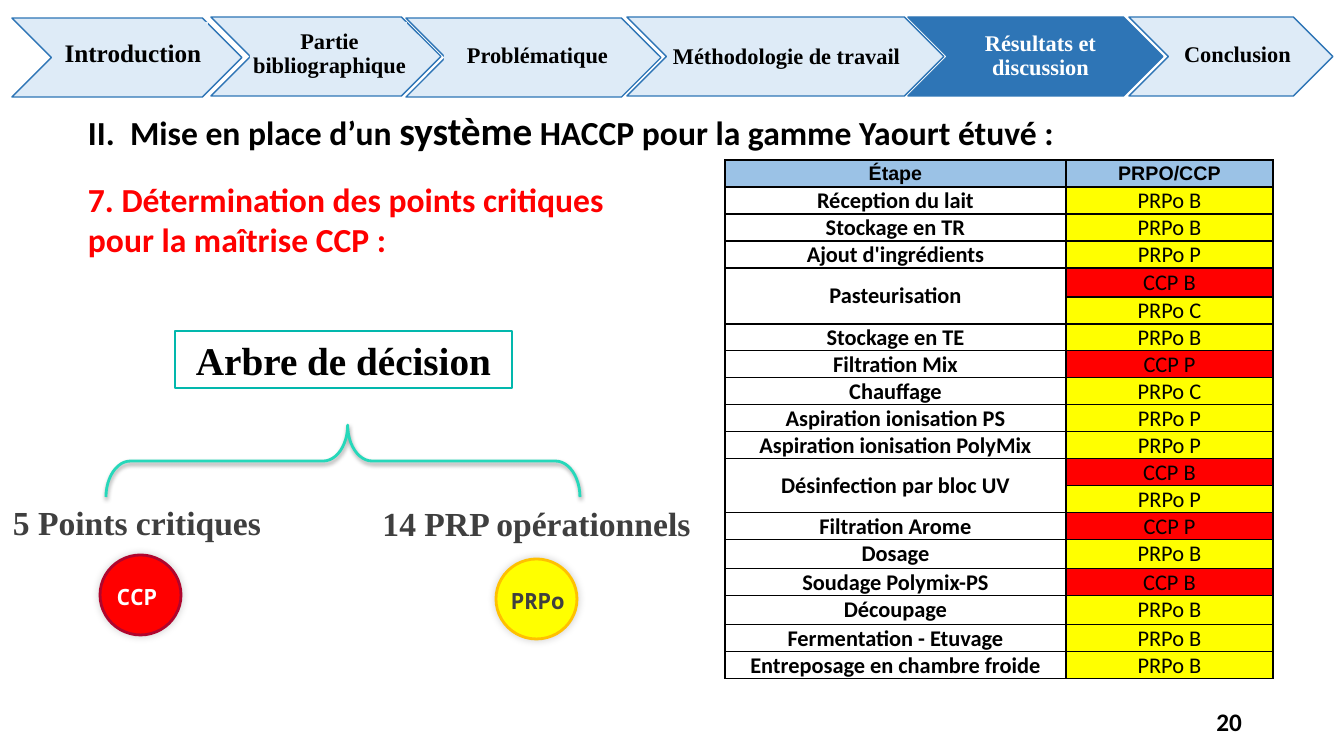
import pptx
import pptx.dml.color
import pptx.enum.shapes
import pptx.enum.text
import pptx.oxml.ns
import pptx.util
from lxml import etree

SHAPE = pptx.enum.shapes.MSO_SHAPE
ALIGN = pptx.enum.text.PP_ALIGN
ANCHOR = pptx.enum.text.MSO_ANCHOR
qn = pptx.oxml.ns.qn

WIDTH, HEIGHT = 1344, 756
EMU_PER_PX = 12192000 / WIDTH
SERIF, SANS, MONO = "Times New Roman", "Calibri", "Noto Sans Mono"
BLACK, WHITE, GREY = "000000", "FFFFFF", "3F3F3F"
RED, YELLOW = "FF0000", "FFFF00"
PALE_BLUE, BLUE, HEADER_BLUE = "DEEBF7", "2E75B6", "9BC2E6"


def px(length):
    return pptx.util.Emu(round(length * EMU_PER_PX))


def rgb(value):
    return pptx.dml.color.RGBColor.from_string(value)


def apply(target, values):
    for name, value in values.items():
        setattr(target, name, value)


class SlideBuilder:
    def __init__(self, slide):
        self.slide = slide
        self.shapes = slide.shapes

    def set_text(self, frame, runs, font=SANS, color=BLACK, bold=True,
                 align=ALIGN.LEFT, anchor=ANCHOR.TOP, wrap=True, spacing=1.0,
                 insets=(10, 5, 10, 5)):
        """Fill a text frame with one paragraph made of (text, size) runs."""
        left, top, right, bottom = map(px, insets)
        apply(frame, {"word_wrap": wrap, "vertical_anchor": anchor,
                      "margin_left": left, "margin_top": top,
                      "margin_right": right, "margin_bottom": bottom})
        paragraph = frame.paragraphs[0]
        apply(paragraph, {"alignment": align, "line_spacing": spacing})
        for text, size in runs:
            run = paragraph.add_run()
            run.text = text
            apply(run.font, {"name": font, "size": pptx.util.Pt(size), "bold": bold})
            run.font.color.rgb = rgb(color)

    def text(self, box, text, size, **style):
        frame = self.shapes.add_textbox(*map(px, box)).text_frame
        self.set_text(frame, [(text, size)], **style)

    def title(self, box, runs, **style):
        heading = self.shapes.title
        apply(heading, dict(zip(("left", "top", "width", "height"), map(px, box))))
        heading.text_frame.auto_size = pptx.enum.text.MSO_AUTO_SIZE.NONE
        self.set_text(heading.text_frame, runs, **style)

    def shape(self, kind, box, fill=None, line=None, weight=1):
        shape = self.shapes.add_shape(kind, *map(px, box))
        shape.shadow.inherit = False
        if fill:
            shape.fill.solid()
            shape.fill.fore_color.rgb = rgb(fill)
        else:
            shape.fill.background()
        if line:
            shape.line.color.rgb = rgb(line)
            shape.line.width = pptx.util.Pt(weight)
        else:
            shape.line.fill.background()
        return shape

    def shadow(self, shape, opacity, blur, distance, angle):
        effects = shape._element.spPr.find(qn("a:effectLst"))
        outer = etree.SubElement(effects, qn("a:outerShdw"), {
            "blurRad": str(pptx.util.Pt(blur)), "dist": str(pptx.util.Pt(distance)),
            "dir": str(angle * 60000), "rotWithShape": "0"})
        black = etree.SubElement(outer, qn("a:srgbClr"), val=BLACK)
        etree.SubElement(black, qn("a:alpha"), val=str(opacity * 1000))

    def cell(self, cell, text, size, fill=None, **style):
        """Fill a centred cell with thin black borders."""
        properties = cell._tc.get_or_add_tcPr()
        for side in ("a:lnL", "a:lnR", "a:lnT", "a:lnB"):
            border = etree.SubElement(properties, qn(side), w=str(pptx.util.Pt(1)))
            solid = etree.SubElement(border, qn("a:solidFill"))
            etree.SubElement(solid, qn("a:srgbClr"), val=BLACK)
        if fill:
            cell.fill.solid()
            cell.fill.fore_color.rgb = rgb(fill)
        else:
            cell.fill.background()
        apply(cell, {"vertical_anchor": ANCHOR.MIDDLE, "margin_left": 0, "margin_top": 0,
                     "margin_right": 0, "margin_bottom": 0})
        paragraph = cell.text_frame.paragraphs[0]
        paragraph.alignment = ALIGN.CENTER
        paragraph.font.size = pptx.util.Pt(size)
        if text:
            run = paragraph.add_run()
            run.text = text
            apply(run.font, {"size": pptx.util.Pt(size), **style})
            run.font.color.rgb = rgb(BLACK)

    def table(self, box, columns, row_heights, header, rows):
        """Draw the steps; an empty step joins the cell above it."""
        table = self.shapes.add_table(len(rows) + 1, len(columns), *map(px, box)).table
        apply(table, {"first_row": False, "horz_banding": False})
        for column, width in zip(table.columns, columns):
            column.width = px(width)
        for row, height in zip(table.rows, row_heights):
            row.height = px(height)
        for index, label in enumerate(header):
            self.cell(table.cell(0, index), label, 14, HEADER_BLUE, name="Arial", bold=True)
        for index, (step, category) in enumerate(rows, 1):
            fill = RED if category.startswith("CCP") else YELLOW
            self.cell(table.cell(index, 0), step, 16, name=SANS, bold=True)
            self.cell(table.cell(index, 1), category, 16, fill, name=SANS, bold=False)
            if not step:
                table.cell(index - 1, 0).merge(table.cell(index, 0))


# Label, chevron box, label box, font size, alignment
CHAPTERS = [
    ("Partie bibliographique", (211, 17, 230, 79), (250, 22, 157, 65), 16, ALIGN.CENTER),
    ("Problématique", (406, 18, 255, 79), (444, 26, 185, 60), 16, ALIGN.CENTER),
    ("Méthodologie de travail", (627, 17, 317, 79), (671, 31, 233, 53), 16, ALIGN.LEFT),
    ("Résultats et discussion", (908, 17, 255, 79), (947, 26, 185, 60), 16, ALIGN.CENTER),
    ("Conclusion", (1129, 17, 204, 79), (1171, 27, 131, 56), 16, ALIGN.CENTER),
    ("Introduction", (12, 18, 230, 79), (56, 22, 152, 65), 18, ALIGN.CENTER),
]
CURRENT_CHAPTER = "Résultats et discussion"

STEPS = [
    ("Réception du lait", "PRPo B"),
    ("Stockage en TR", "PRPo B"),
    ("Ajout d'ingrédients", "PRPo P"),
    ("Pasteurisation", "CCP B"),
    ("", "PRPo C"),
    ("Stockage en TE", "PRPo B"),
    ("Filtration Mix", "CCP P"),
    ("Chauffage", "PRPo C"),
    ("Aspiration ionisation PS", "PRPo P"),
    ("Aspiration ionisation PolyMix", "PRPo P"),
    ("Désinfection par bloc UV", "CCP B"),
    ("", "PRPo P"),
    ("Filtration Arome", "CCP P"),
    ("Dosage", "PRPo B"),
    ("Soudage Polymix-PS", "CCP B"),
    ("Découpage", "PRPo B"),
    ("Fermentation - Etuvage", "PRPo B"),
    ("Entreposage en chambre froide", "PRPo B"),
]
TALL_ROWS = (4, 14, 16)

# Caption, its box, badge, badge box, badge text box, fill, outline, text colour, shadow angle
OUTCOMES = [
    ("5 Points critiques", (-3, 497, 280, 50), "CCP", (100, 555, 81, 80),
     (107, 578, 80, 37), RED, "AF052D", WHITE, 225),
    ("14 PRP opérationnels", (293, 498, 487, 50), "PRPo", (496, 559, 81, 80),
     (501, 582, 80, 37), YELLOW, "FFC000", GREY, 315),
]


def main():
    deck = pptx.Presentation()
    apply(deck, {"slide_width": px(WIDTH), "slide_height": px(HEIGHT)})
    page = SlideBuilder(deck.slides.add_slide(deck.slide_layouts[5]))

    for label, chevron_box, label_box, size, align in CHAPTERS:
        current = label == CURRENT_CHAPTER
        fill = BLUE if current else PALE_BLUE
        page.shape(SHAPE.CHEVRON, chevron_box, fill, BLUE)
        plate = page.shape(SHAPE.RECTANGLE, label_box, fill)
        page.set_text(plate.text_frame, [(label, size)], font=SERIF, align=align, spacing=0.9,
                      color=WHITE if current else BLACK, anchor=ANCHOR.MIDDLE,
                      insets=(2, 1, 0, 1))

    page.title((78, 101, 996, 57), [("II.  Mise en place d’un ", 24), ("système", 28),
                                    (" HACCP pour la gamme Yaourt étuvé :", 24)], wrap=False)
    page.text((78, 174, 579, 92),
              "7. Détermination des points critiques pour la maîtrise CCP :", 24, color=RED)
    page.text((950, 701, 302, 40), "20", 18, align=ALIGN.RIGHT, anchor=ANCHOR.MIDDLE)

    row_heights = [29 if row in TALL_ROWS else 27 for row in range(len(STEPS) + 1)]
    page.table((725, 160, 548, sum(row_heights)), (341, 207), row_heights,
               ("Étape", "PRPO/CCP"), STEPS)

    decision = page.shape(SHAPE.RECTANGLE, (175, 331, 337, 57), WHITE, "02B8AD", 2)
    page.set_text(decision.text_frame, [("Arbre de décision", 28)], font=SERIF,
                  align=ALIGN.CENTER)
    brace = page.shape(SHAPE.RIGHT_BRACE, (307, 224, 72, 474), None, "26D8BA", 2)
    brace.rotation = 270
    brace.adjustments[0], brace.adjustments[1] = 0.34, 0.51
    page.shadow(brace, 38, 3.1, 1.6, 90)

    for caption, caption_box, badge, disc_box, badge_box, fill, line, color, angle in OUTCOMES:
        disc = page.shape(SHAPE.OVAL, disc_box, fill, line, 2)
        page.shadow(disc, 20, 6, 0, angle)
        page.text(badge_box, badge, 16, font=MONO, color=color)
        page.text(caption_box, caption, 24, font=SERIF, color=GREY, align=ALIGN.CENTER)

    deck.save("out.pptx")


if __name__ == "__main__":
    main()
